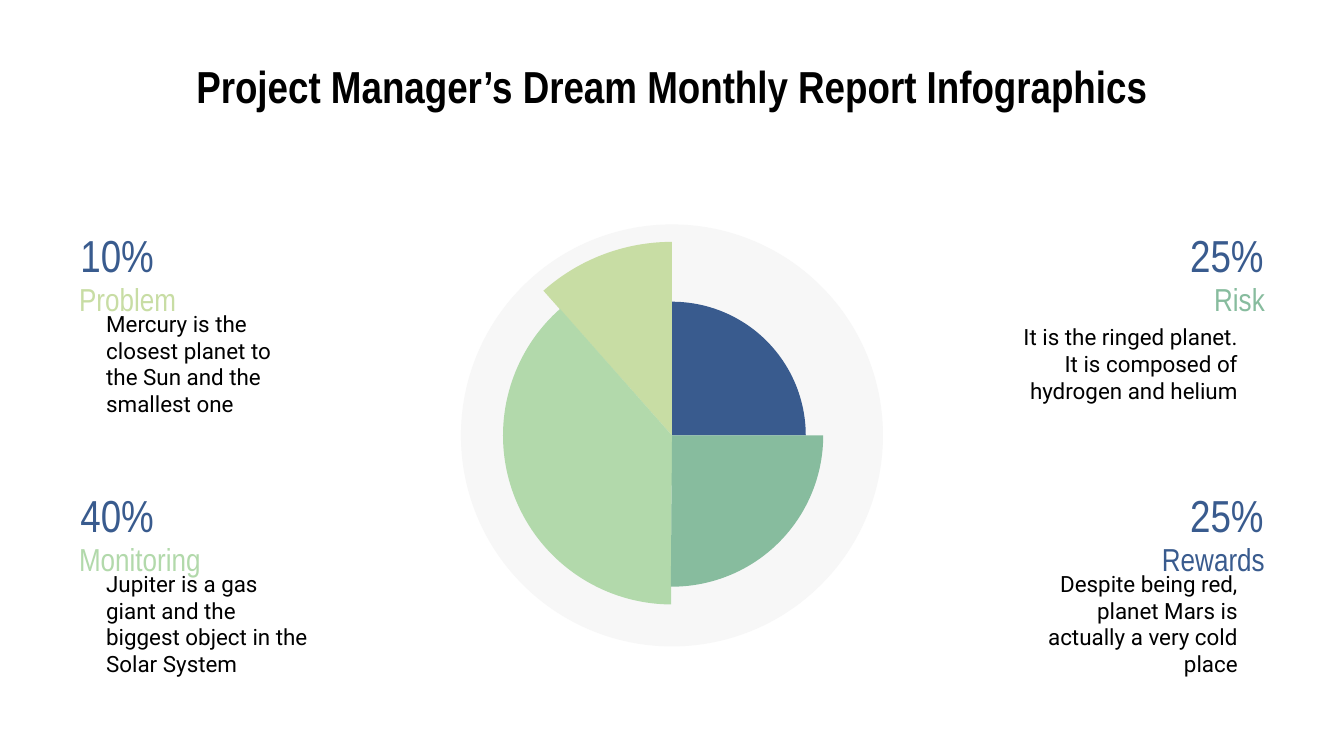
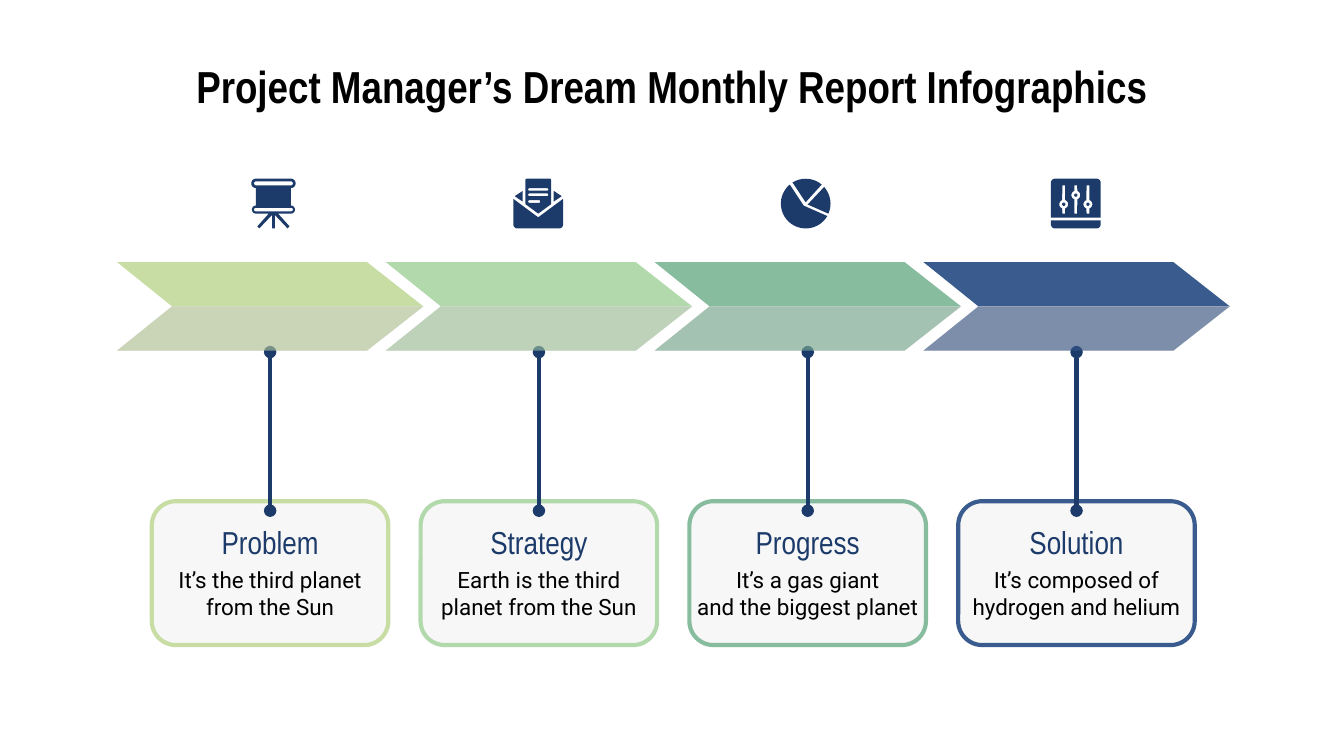
from dataclasses import dataclass
from math import cos, radians, sin

from lxml.etree import SubElement
from pptx import Presentation
from pptx.dml.color import RGBColor
from pptx.enum.shapes import MSO_CONNECTOR, MSO_SHAPE
from pptx.enum.text import MSO_ANCHOR, PP_ALIGN
from pptx.oxml.ns import qn
from pptx.util import Inches, Pt

LEFT, CENTER, RIGHT = PP_ALIGN.LEFT, PP_ALIGN.CENTER, PP_ALIGN.RIGHT


@dataclass(frozen=True)
class Theme:
    black: str = "000000"
    lime: str = "C8DDA4"
    mint: str = "B2D9AB"
    sage: str = "87BC9E"
    blue: str = "395B8E"
    navy: str = "1C3B6A"
    pale: str = "F7F7F7"
    grey: str = "CCCCCC"
    display_font: str = "Arial Narrow"
    body_font: str = "Roboto"
    large: float = 24
    heading: float = 17
    body: float = 12
    stroke: float = 2.25


THEME = Theme()


class Deck:
    """Style and current page; lengths are cells of a 100 by 56.25 grid."""

    columns, rows = 100, 56.25

    def __init__(self, theme):
        self.theme = theme
        self.deck = Presentation()
        self.deck.slide_width, self.deck.slide_height = Inches(10), Inches(5.625)
        self.page = None

    def across(self, columns):
        return round(self.deck.slide_width * columns / self.columns)

    def down(self, rows):
        return round(self.deck.slide_height * rows / self.rows)

    def area(self, left, top, width, height):
        return self.across(left), self.down(top), self.across(width), self.down(height)

    def new_page(self, title):
        self.page = self.deck.slides.add_slide(self.deck.slide_layouts[6])
        self.text(title, (2, 3.4, 96, 6.3), self.theme.large, self.theme.black,
                  CENTER, bold=True, anchor=MSO_ANCHOR.TOP)

    def text(self, words, area, size, color, align=LEFT, font=None, bold=False,
             anchor=MSO_ANCHOR.MIDDLE, sides=(1, 1)):
        frame = self.page.shapes.add_textbox(*self.area(*area)).text_frame
        frame.word_wrap = True
        frame.vertical_anchor = anchor
        frame.margin_left, frame.margin_right = map(self.across, sides)
        frame.margin_top = frame.margin_bottom = self.down(1)
        para = frame.paragraphs[0]
        para.alignment = align
        for number, line in enumerate(words.split("\n")):
            if number:
                para.add_line_break()
            span = para.add_run()
            span.text = line
            span.font.name = font or self.theme.display_font
            span.font.size, span.font.bold = Pt(size), bold
            span.font.color.rgb = RGBColor.from_string(color)

    def body(self, words, area, align=LEFT, sides=(1, 1)):
        self.text(words, area, self.theme.body, self.theme.black, align,
                  self.theme.body_font, sides=sides)

    def paint(self, shape, fill, line=None, opacity=None):
        shape.shadow.inherit = False
        shape.fill.solid()
        shape.fill.fore_color.rgb = RGBColor.from_string(fill)
        if opacity:
            color = shape.fill._xPr.find(qn("a:solidFill"))[0]
            SubElement(color, qn("a:alpha")).set("val", str(opacity * 1000))
        if line:
            shape.line.color.rgb = RGBColor.from_string(line)
            shape.line.width = Pt(self.theme.stroke)
        else:
            shape.line.fill.background()

    def shape(self, kind, area, fill, line=None, adjustments=(), turn=0):
        shape = self.page.shapes.add_shape(kind, *self.area(*area))
        for index, value in enumerate(adjustments):
            shape.adjustments[index] = value
        shape.rotation = turn
        self.paint(shape, fill, line)

    def disc(self, center, diameter, fill, angles=None, turn=0):
        area = (center[0] - diameter / 2, center[1] - diameter / 2, diameter, diameter)
        kind = MSO_SHAPE.PIE if angles else MSO_SHAPE.OVAL
        # An angle is stored in 60000ths of a degree, an adjustment in 100000ths
        self.shape(kind, area, fill, turn=turn,
                   adjustments=[angle * 0.6 for angle in angles or ()])

    def outline(self, contours, fill, opacity=None, shapes=None):
        builder = None
        for contour in contours:
            points = [(self.across(x), self.down(y)) for x, y in contour]
            if builder:
                builder.move_to(*points[0])
            else:
                builder = (shapes or self.page.shapes).build_freeform(*points[0], scale=1.0)
            builder.add_line_segments(points[1:], close=True)
        self.paint(builder.convert_to_shape(), fill, opacity=opacity)

    def icon(self, parts, left, top):
        """Draw parts measured in tenths of a cell."""
        group = self.page.shapes.add_group_shape()
        for part in parts:
            placed = [[(left + x / 10, top + y / 10) for x, y in contour] for contour in part]
            self.outline(placed, self.theme.navy, shapes=group.shapes)

    def pin(self, x, bottom, top):
        line = self.page.shapes.add_connector(
            MSO_CONNECTOR.STRAIGHT, self.across(x), self.down(bottom),
            self.across(x), self.down(top))
        line.line.color.rgb = RGBColor.from_string(self.theme.navy)
        line.line.width = Pt(self.theme.stroke)
        for end in ("a:headEnd", "a:tailEnd"):
            SubElement(line.line._get_or_add_ln(), qn(end)).set("type", "oval")
        SubElement(line._element.spPr, qn("a:effectLst"))


# Icon outlines
def arc(x, y, radius, start, end):
    steps = max(6, round(abs(end - start) / 8))
    angles = [radians(start + (end - start) * i / steps) for i in range(steps + 1)]
    return [(x + radius * cos(a), y + radius * sin(a)) for a in angles]


def pill(left, top, width, height):
    radius = height / 2
    return (arc(left + radius, top + radius, radius, 90, 270)
            + arc(left + width - radius, top + radius, radius, -90, 90))


def round_top(left, right, radius):
    return (arc(left + radius, radius, radius, 180, 270)
            + arc(right - radius, radius, radius, 270, 360))


def round_bottom():
    return arc(34, 34, 3, 0, 90) + arc(3, 34, 3, 90, 180)


def easel():
    legs = [(20, 26), (28.5, 35.5), (27, 37), (17.5, 27), (17.5, 37),
            (15.5, 37), (15.5, 27), (6, 37), (4.5, 35.5), (13, 26)]
    board = (arc(3.5, 3.5, 3.5, 90, 270) + arc(29.5, 3.5, 3.5, -90, 90)
             + arc(29.5, 23, 3, -90, 90) + legs + arc(3.5, 23, 3, 90, 270))
    return [[board, pill(2, 2, 29, 3), pill(2, 21.7, 29, 2.6)]]


def letter():
    sheet = round_top(9, 28, 1) + [(28, 19), (18.5, 26), (9, 19)]
    lines = [pill(11, y, width, 2) for y, width in ((7, 15), (11, 15), (16, 9))]
    return [[[(0, 15), (18.5, 28.7), (37, 15)] + round_bottom()],
            [[(30, 9), (30, 17), (36, 13)]],
            [[(7, 9), (1, 13), (7, 17)]],
            [sheet] + lines]


def pie():
    slices = (((17, 20), 30, 230), ((18.5, 17.5), 238, 310), ((20, 19.2), -42, 24))
    return [[[tip] + arc(18.5, 18.5, 18.5, start, end)] for tip, start, end in slices]


def mixer():
    panel, dots = [round_top(0, 37, 3) + [(37, 29), (0, 29)]], []
    for x, knob in ((9.5, 19), (18.5, 12.2), (27.5, 19)):
        panel.append(arc(x, knob, 3.3, -70, 70) + [(x + 1, 26), (x - 1, 26)]
                     + arc(x, knob, 3.3, 110, 250) + [(x - 1, 5), (x + 1, 5)])
        dots.append([arc(x, knob, 1.2, 0, 360)])
    return dots + [[[(0, 31), (37, 31)] + round_bottom()], panel]


TITLE = "Project Manager’s Dream Monthly Report Infographics"


def share_page(deck):
    deck.new_page(TITLE)
    # Descriptions on both sides, in two rows
    left, right, width = 4.9, 74.1, 21
    notes = [
        (left, 16.7, "10%", "Problem", THEME.lime, LEFT, 3,
         "Mercury is the closest planet to the Sun and the smallest one"),
        (left, 36.05, "40%", "Monitoring", THEME.mint, LEFT, 3,
         "Jupiter is a gas giant and the biggest object in the Solar System"),
        (right, 16.7, "25%", "Risk", THEME.sage, RIGHT, 1,
         "It is the ringed planet. It is composed of hydrogen and helium"),
        (right, 36.05, "25%", "Rewards", THEME.blue, RIGHT, 3,
         "Despite being red, planet Mars is actually a very cold place"),
    ]
    for x, top, share, heading, color, align, inset, words in notes:
        deck.body(words, (x, top + 7.6, width, 5.5), align, (inset, 3))
        deck.text(heading, (x, top + 3.2, width, 4.7), THEME.heading, color, align)
        share_left = 5 if align == LEFT else 85.4
        deck.text(share, (share_left, top, 9.6, 4.5), THEME.large, THEME.blue, align)
    # Stepped pie
    center = (50, 32.4)
    deck.disc(center, 31.4, THEME.pale)
    for color, diameter, angles, turn in (
            (THEME.lime, 28.8, (228.39, 270), 0),
            (THEME.blue, 19.9, (180, 270), 90),
            (THEME.mint, 25.15, (270.29, 48.51), 180),
            (THEME.sage, 22.5, (180, 270.46), 180)):
        deck.disc(center, diameter, color, angles, turn)


def process_page(deck):
    deck.new_page(TITLE)
    first, pitch = 20.1, 20
    stages = [
        ("Problem", "It’s the third planet from the Sun", THEME.lime, 54, easel, 18.7),
        ("Strategy", "Earth is the third planet from the Sun", THEME.mint, 53, letter, 38.2),
        ("Progress", "It’s a gas giant\nand the biggest planet", THEME.sage, 57, pie, 58.1),
        ("Solution", "It’s composed of hydrogen and helium", THEME.blue, 54, mixer, 78.2),
    ]
    centers = [first + pitch * i for i in range(len(stages))]

    def half_arrow(x, edge):
        middle = 22.8
        return [[(x + 11.4, middle), (x + 7.2, edge), (x - 11.4, edge), (x - 7.3, middle)]]

    # Cards
    for x, (*_, color, _, _, _) in zip(centers, stages):
        deck.shape(MSO_SHAPE.ROUNDED_RECTANGLE, (x - 8.8, 37.3, 17.6, 10.7),
                   THEME.pale, color, [0.167])
    # Arrows and pins
    for x, (*_, color, _, _, _) in zip(centers, stages):
        deck.outline(half_arrow(x, 19.5), color)
        deck.outline(half_arrow(x, 26.1), THEME.grey)
        deck.pin(x, 38, 26.2)
    # Card wording and icons
    for x, (heading, words, _, _, draw, icon_left) in zip(centers, stages):
        deck.text(heading, (x - 9.45, 38, 18.9, 4.7), THEME.heading, THEME.navy, CENTER)
        deck.body(words, (x - 9.45, 41.2, 18.9, 5.8), CENTER)
        deck.icon(draw(), icon_left, 13.3)
    # Tint over the lower halves
    for x, (*_, color, opacity, _, _) in zip(centers, stages):
        deck.outline(half_arrow(x, 26.1), color, opacity)


def main():
    deck = Deck(THEME)
    share_page(deck)
    process_page(deck)
    deck.deck.save("out.pptx")


if __name__ == "__main__":
    main()
